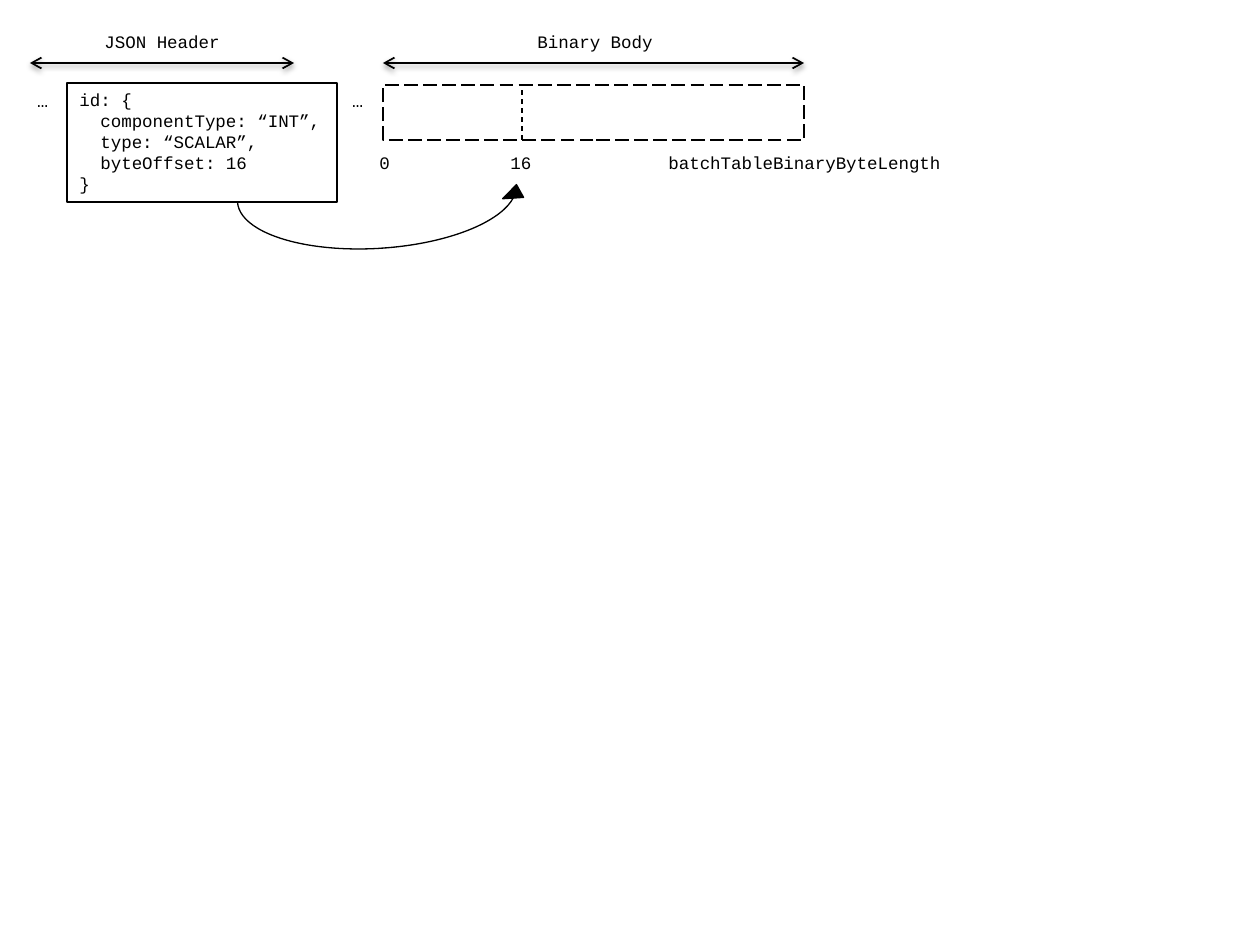
from lxml.etree import SubElement
from pptx import Presentation
from pptx.dml.color import RGBColor
from pptx.enum.dml import MSO_LINE as Dash
from pptx.enum.shapes import MSO_CONNECTOR as Connector, MSO_SHAPE as Shape
from pptx.enum.text import MSO_ANCHOR as Anchor, PP_ALIGN as Align
from pptx.oxml.ns import qn
from pptx.util import Pt

PX = 914400 / 126
BLACK = RGBColor(0, 0, 0)
FONT = "Courier New"
CAPTION_WIDTH, LABEL_HEIGHT = 142, 34
INDENT = 21


def px(*lengths):
    return [round(length * PX) for length in lengths]


def write(shape, lines, align=Align.LEFT, size=10):
    frame = shape.text_frame
    frame.word_wrap = align == Align.LEFT
    frame.vertical_anchor = Anchor.TOP
    for index, (text, level) in enumerate(lines):
        paragraph = frame.add_paragraph() if index else frame.paragraphs[0]
        paragraph.text = text
        paragraph.alignment = align
        paragraph.font.name = FONT
        paragraph.font.size = Pt(size)
        paragraph.font.color.rgb = BLACK
        if level:
            properties = paragraph._p.get_or_add_pPr()
            properties.set("marL", str(px(level * INDENT)[0]))
            properties.set("indent", "0")


def add_label(slide, text, box, align=Align.LEFT, size=10):
    write(slide.shapes.add_textbox(*px(*box)), [(text, 0)], align, size)


def add_outline(slide, kind, box, weight=1):
    shape = slide.shapes.add_shape(kind, *px(*box))
    shape.shadow.inherit = False
    shape.fill.background()
    shape.line.color.rgb = BLACK
    shape.line.width = Pt(weight)
    return shape


def add_line(slide, start, end, weight=1):
    line = slide.shapes.add_connector(Connector.STRAIGHT, *px(*start, *end))
    line.line.color.rgb = BLACK
    line.line.width = Pt(weight)
    effects = SubElement(line._element.spPr, qn("a:effectLst"))
    return line, effects


def add_span(slide, left, top, width, caption, caption_left):
    add_label(slide, caption, (caption_left, top, CAPTION_WIDTH, LABEL_HEIGHT), Align.CENTER)
    arrow_y = top + 38
    span, effects = add_line(slide, (left, arrow_y), (left + width, arrow_y))
    outline = span.line._get_or_add_ln()
    for end in ("a:headEnd", "a:tailEnd"):
        SubElement(outline, qn(end), type="arrow")
    shadow = SubElement(effects, qn("a:outerShdw"), blurRad=str(Pt(3.1)),
                        dist=str(Pt(1.6)), dir="5400000", rotWithShape="0")
    color = SubElement(shadow, qn("a:srgbClr"), val=str(BLACK))
    SubElement(color, qn("a:alpha"), val="38000")


def add_json_header(slide, left, top):
    add_span(slide, left, top, 264, "JSON Header", left + 61)
    for ellipsis_left in (left - 6, left + 309):
        add_label(slide, "…", (ellipsis_left, top + 58, 37, 59), Align.CENTER, 10.5)
    code = add_outline(slide, Shape.RECTANGLE, (left + 37, top + 58, 270, 119))
    write(code, [
        ("id: {", 0),
        ("componentType: “INT”,", 1),
        ("type: “SCALAR”,", 1),
        ("byteOffset: 16", 1),
        ("}", 0),
    ])


def add_offset_arrow(slide, left, top, width, height):
    arrow = add_outline(slide, Shape.CURVED_UP_ARROW, (left, top, width, height), 0.75)
    arrow.fill.solid()
    arrow.fill.fore_color.rgb = BLACK
    arrow.rotation = 356.4
    for index, value in enumerate((0, 0.382, 0.241)):
        arrow.adjustments[index] = value


def add_binary_body(slide, left, top):
    width, height = 421, 55
    body_top = top + 60
    body = add_outline(slide, Shape.RECTANGLE, (left, body_top, width, height))
    body.line.dash_style = Dash.LONG_DASH
    add_span(slide, left, top, width, "Binary Body", left + 141)
    offset_x = left + 139
    divider, _ = add_line(slide, (offset_x, body_top + height), (offset_x, body_top), 0.75)
    divider.line.dash_style = Dash.DASH
    for text, shift, label_width in (
        ("0", -16, 30),
        ("16", 115, 58),
        ("batchTableBinaryByteLength", 273, 333),
    ):
        add_label(slide, text, (left + shift, top + 121, label_width, LABEL_HEIGHT))


def main():
    deck = Presentation()
    deck.slide_width, deck.slide_height = px(1260, 945)
    slide = deck.slides.add_slide(deck.slide_layouts[6])
    add_json_header(slide, 30, 25)
    add_offset_arrow(slide, 239, 193, 290, 55)
    add_binary_body(slide, 383, 25)
    deck.save("out.pptx")


if __name__ == "__main__":
    main()
